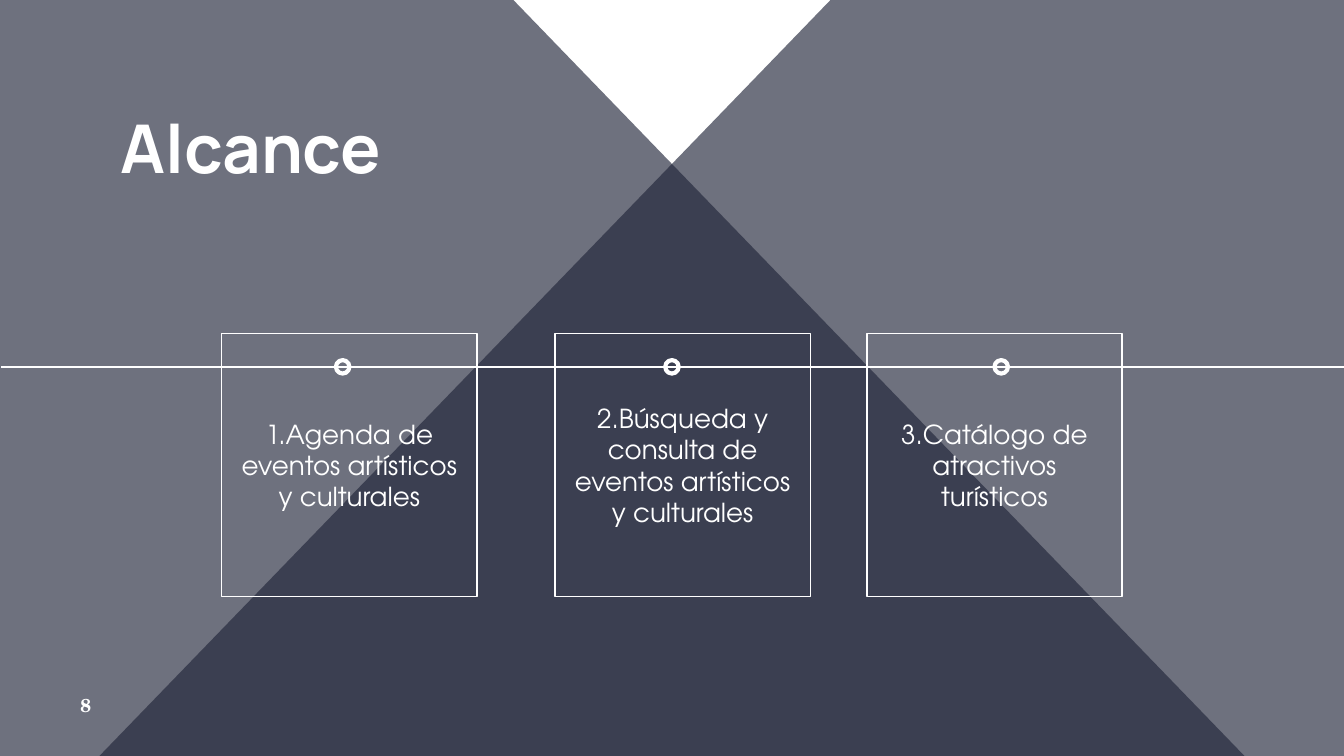
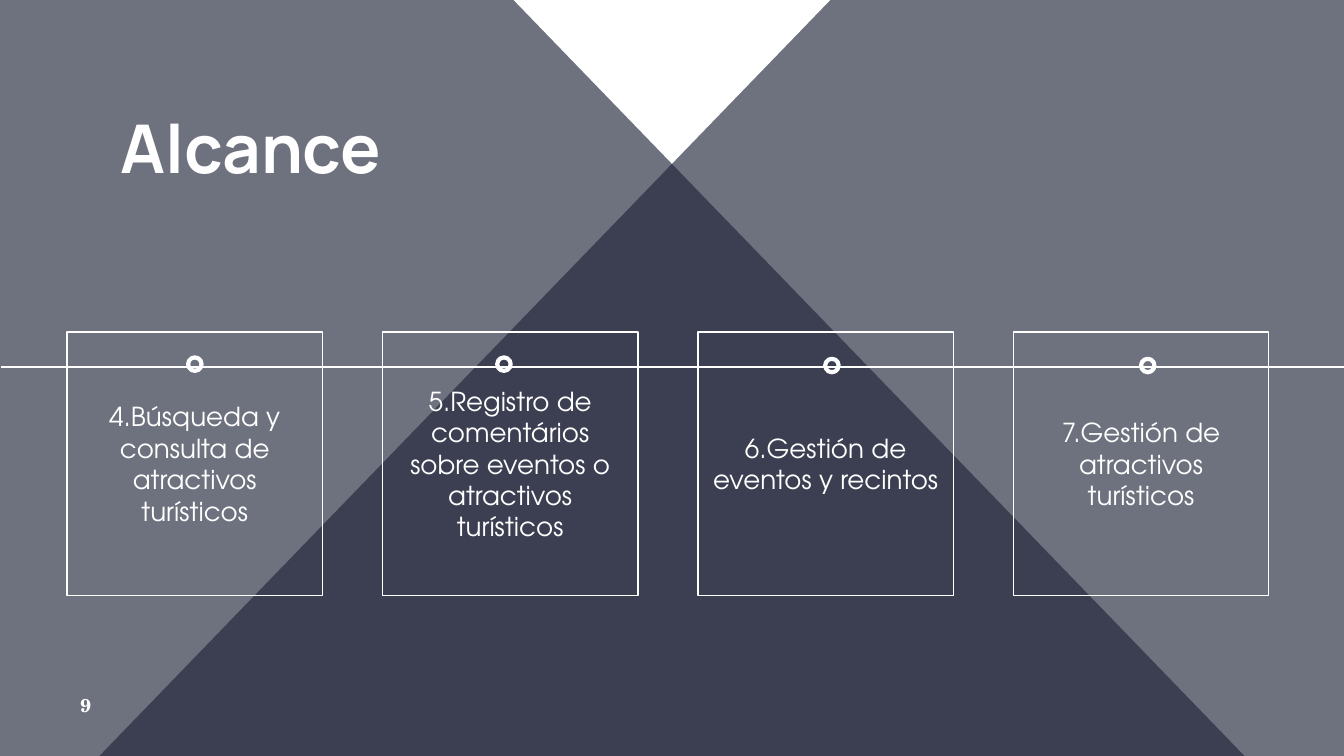
from typing import NamedTuple

from lxml import etree
from pptx import Presentation
from pptx import util as u
from pptx.dml.color import RGBColor
from pptx.enum import shapes, text
from pptx.oxml.ns import qn

# Grid: 100 columns across, square cells, so 56.25 rows down
COLS, ROWS = 100, 56.25
CELL = u.Inches(0.1)

WHITE, NAVY = "FFFFFF", "212539"
TITLE_FONT, BODY_FONT, NUMBER_FONT = "Manrope", "TeX Gyre Adventor", "TeX Gyre Schola"

PANEL = [(61.8, 0), (COLS, 0), (COLS, ROWS), (7.4, ROWS)]
PANEL_OPACITY = 65
TIMELINE_ROW = 27.3
CARD_W, CARD_H = 19, 19.6
RING_SIZE = 1


class Box(NamedTuple):
    col: float
    row: float
    cols: float
    rows: float


class Card(NamedTuple):
    col: float
    ring_col: float
    ring_row: float
    label: str


class ScopeSlide(NamedTuple):
    number: int
    card_row: float
    cards: list[Card]


TITLE_BOX = Box(8, 8, 23.3, 6.9)
NUMBER_BOX = Box(5, 51.1, 6, 2.7)
FIRST, PITCH = 5, 23.47

SLIDES = [
    ScopeSlide(8, 24.8, [
        Card(16.5, 25, 26.8, "1.Agenda de eventos artísticos y culturales"),
        Card(41.3, 49.5, 26.8, "2.Búsqueda y consulta de eventos artísticos y culturales"),
        Card(64.5, 74, 26.8, "3.Catálogo de atractivos turísticos"),
    ]),
    ScopeSlide(9, 24.7, [
        Card(FIRST, 14, 26.6, "4.Búsqueda y consulta de atractivos turísticos"),
        Card(FIRST + PITCH, 37, 26.6,
             "5.Registro de comentários sobre eventos o atractivos turísticos"),
        Card(FIRST + 2 * PITCH, 61.4, 26.7, "6.Gestión de eventos y recintos"),
        Card(FIRST + 3 * PITCH, 84.9, 26.7, "7.Gestión de atractivos turísticos"),
    ]),
]


def rgb(color: str) -> RGBColor:
    return RGBColor.from_string(color)


def cells(*values: float) -> list[int]:
    return [round(v * CELL) for v in values]


def write(sp, content: str, *, font: str, size: float, bold: bool = False,
          align=text.PP_ALIGN.LEFT, anchor=text.MSO_ANCHOR.MIDDLE) -> None:
    tf = sp.text_frame
    tf.word_wrap = True
    tf.vertical_anchor = anchor
    tf.margin_left = tf.margin_right = tf.margin_top = tf.margin_bottom = CELL
    p = tf.paragraphs[0]
    p.alignment = align
    r = p.add_run()
    r.text = content
    r.font.name, r.font.size, r.font.bold = font, u.Pt(size), bold
    r.font.color.rgb = rgb(WHITE)


def add_outline(s, preset, box: Box, width: float):
    sp = s.shapes.add_shape(preset, *cells(*box))
    sp.shadow.inherit = False
    sp.fill.background()
    sp.line.color.rgb = rgb(WHITE)
    sp.line.width = u.Pt(width)
    return sp


def add_panel(s, points: list[tuple[float, float]]) -> None:
    corners = [tuple(cells(*pt)) for pt in points]
    builder = s.shapes.build_freeform(*corners[0])
    builder.add_line_segments(corners[1:], close=True)
    sp = builder.convert_to_shape()
    sp.shadow.inherit = False
    sp.fill.solid()
    sp.fill.fore_color.rgb = rgb(NAVY)
    sp.line.fill.background()
    color = sp.fill._xPr.find(qn("a:solidFill")).find(qn("a:srgbClr"))
    etree.SubElement(color, qn("a:alpha")).set("val", str(PANEL_OPACITY * 1000))


def add_timeline(s) -> None:
    line = s.shapes.add_connector(shapes.MSO_CONNECTOR.STRAIGHT,
                                  *cells(COLS, TIMELINE_ROW, 0.1, TIMELINE_ROW))
    line.line.color.rgb = rgb(WHITE)
    line.line.width = u.Pt(0.75)
    etree.SubElement(line._element.spPr, qn("a:effectLst"))


def add_frame(s, number: int) -> None:
    # Two overlapping translucent panels, mirrored about the centre
    add_panel(s, PANEL)
    add_panel(s, [(COLS - x, y) for x, y in PANEL])
    # Title and slide number
    write(s.shapes.add_textbox(*cells(*TITLE_BOX)), "Alcance",
          font=TITLE_FONT, size=36, bold=True, anchor=text.MSO_ANCHOR.BOTTOM)
    write(s.shapes.add_textbox(*cells(*NUMBER_BOX)), str(number),
          font=NUMBER_FONT, size=10, bold=True)
    add_timeline(s)


def add_card(s, card: Card, row: float) -> None:
    add_outline(s, shapes.MSO_SHAPE.OVAL,
                Box(card.ring_col, card.ring_row, RING_SIZE, RING_SIZE), 2.25)
    sp = add_outline(s, shapes.MSO_SHAPE.RECTANGLE,
                     Box(card.col, row, CARD_W, CARD_H), 0.75)
    write(sp, card.label, font=BODY_FONT, size=14, align=text.PP_ALIGN.CENTER)


def main() -> None:
    prs = Presentation()
    prs.slide_width, prs.slide_height = cells(COLS, ROWS)
    for scope in SLIDES:
        s = prs.slides.add_slide(prs.slide_layouts[6])
        s.background.fill.solid()
        s.background.fill.fore_color.rgb = rgb(WHITE)
        add_frame(s, scope.number)
        for card in scope.cards:
            add_card(s, card, scope.card_row)
    prs.save("out.pptx")


if __name__ == "__main__":
    main()
